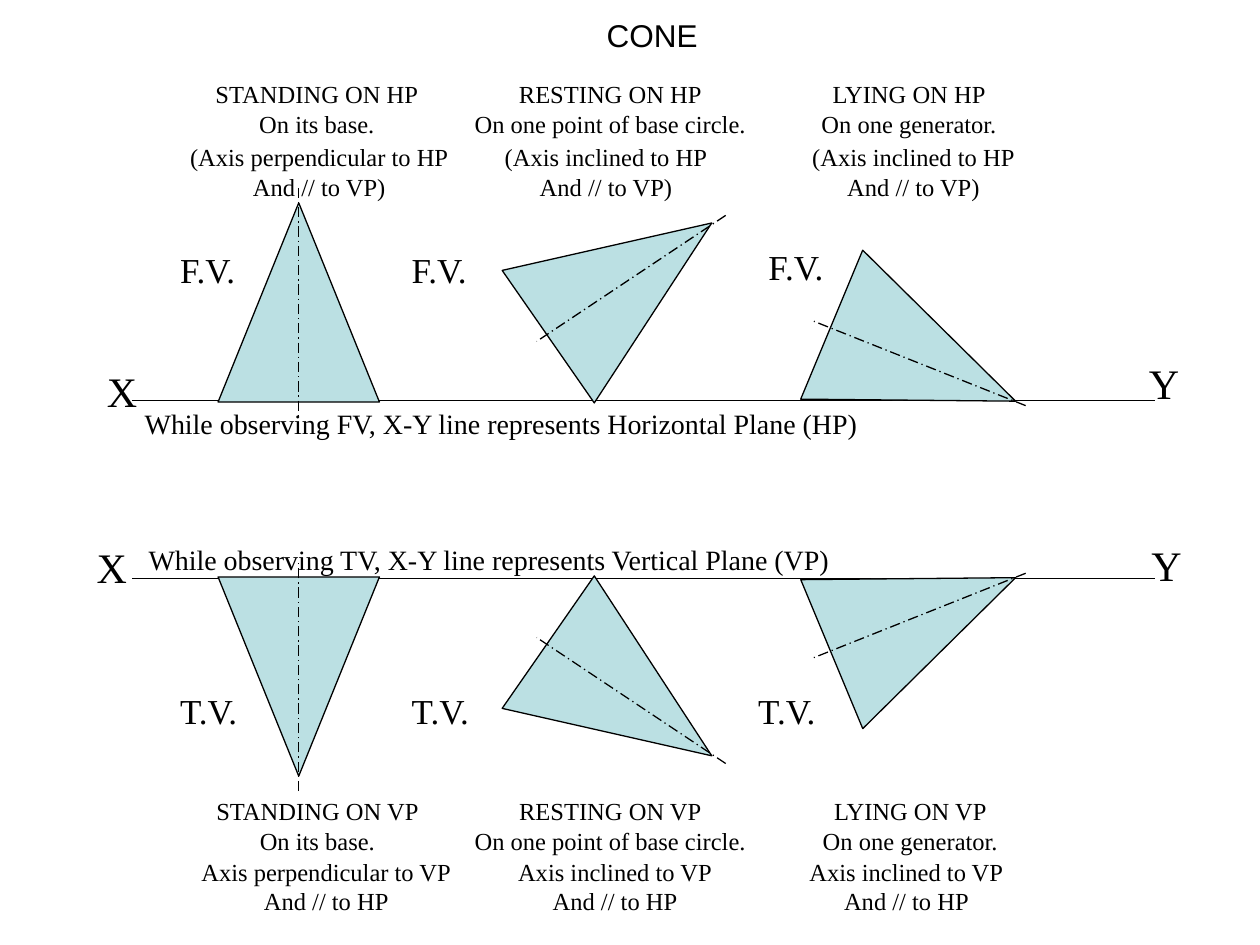
from pptx import Presentation
from pptx.dml.color import RGBColor
from pptx.enum.dml import MSO_LINE
from pptx.enum.shapes import MSO_CONNECTOR, MSO_SHAPE
from pptx.enum.text import MSO_ANCHOR, MSO_AUTO_SIZE, PP_ALIGN
from pptx.oxml.ns import qn
from pptx.util import Pt
from lxml import etree

STRAIGHT = MSO_CONNECTOR.STRAIGHT
TRIANGLE = MSO_SHAPE.ISOSCELES_TRIANGLE
CHAIN_LINE = MSO_LINE.LONG_DASH_DOT
CENTER, LEFT = PP_ALIGN.CENTER, PP_ALIGN.LEFT
COLORS = {"ink": "000000", "cone": "BBE0E3"}
SERIF = "Times New Roman"

# Content: captions as (centre x, width, lines), one row per top position
CAPTION_HEIGHT = 41
CAPTIONS = {
    41.8: [
        (181.1, 134.6, ["STANDING ON HP", "On its base."]),
        (348.8, 170.6, ["RESTING ON HP", "On one point of base circle."]),
        (519.5, 118.8, ["LYING ON HP", "On one generator."]),
    ],
    77.8: [
        (182.5, 163.4, ["(Axis perpendicular to HP", "And // to VP)"]),
        (346.3, 131, ["(Axis inclined to HP", "And // to VP)"]),
        (522, 131, ["(Axis inclined to HP", "And // to VP)"]),
    ],
    451.4: [
        (181.4, 131, ["STANDING ON VP", "On its base."]),
        (348.8, 170.6, ["RESTING ON VP", "On one point of base circle."]),
        (520.2, 118.8, ["LYING ON VP", "On one generator."]),
    ],
    486: [
        (186.5, 158.4, ["Axis perpendicular to VP", "And // to HP"]),
        (351.5, 129.6, ["Axis inclined to VP", "And // to HP"]),
        (518, 126, ["Axis inclined to VP", "And // to HP"]),
    ],
}

# Labels as (text, left, top, width, height), grouped by font size
LABELS = {
    24: [
        ("X", 54, 205.2, 31.7, 36), ("Y", 649.4, 200.9, 31.7, 36),
        ("X", 48.2, 306, 31.7, 36), ("Y", 650.9, 304.6, 31.7, 36),
    ],
    20: [
        ("F.V.", 95.8, 138.2, 50.4, 31), ("F.V.", 228.2, 138.2, 50.4, 31),
        ("F.V.", 432, 136.8, 50.4, 31),
        ("T.V.", 95.8, 390.2, 51.1, 31), ("T.V.", 228.2, 390.2, 51.1, 31),
        ("T.V.", 426.2, 390.2, 51.1, 31),
    ],
    16: [
        ("While observing FV, X-Y line represents Horizontal Plane (HP)",
         75.6, 229, 430.6, 26.6),
        ("While observing TV, X-Y line represents Vertical Plane (VP)",
         77.8, 306.7, 409.7, 26.6),
    ],
}

# Front-view cones: (left, top, rotation), then axis (x1, y1, x2, y2)
CONE_WIDTH, CONE_HEIGHT = 92.2, 113.8
CONES = [
    ((124.6, 115.9, 0), (170.6, 107.3, 170.6, 237.6)),
    ((313.9, 103, 55.2), (414.7, 123.1, 306.7, 195.1)),
    ((481.7, 150.5, 112.6), (586.1, 231.8, 465.1, 183.6)),
]
GROUND_LINE = (75.6, 229, 660.2, 229)
MIRROR_SUM = 559.4  # a front-view y and its top-view y add up to this


def color(name):
    return RGBColor.from_string(COLORS[name])


def style_text(frame, lines, size, font, alignment):
    frame.text = "\n".join(lines)
    for paragraph in frame.paragraphs:
        paragraph.alignment = alignment
        paragraph.font.size = Pt(size)
        paragraph.font.name = font
        paragraph.font.color.rgb = color("ink")


def add_text(slide, lines, left, top, width, height, size, alignment=LEFT):
    box = slide.shapes.add_textbox(Pt(left), Pt(top), Pt(width), Pt(height))
    frame = box.text_frame
    frame.word_wrap = False
    frame.auto_size = MSO_AUTO_SIZE.SHAPE_TO_FIT_TEXT
    style_text(frame, lines, size, SERIF, alignment)


def add_line(shapes, points, mirrored, dash=None):
    x1, y1, x2, y2 = points
    if mirrored:
        y1, y2 = MIRROR_SUM - y1, MIRROR_SUM - y2
    line = shapes.add_connector(STRAIGHT, Pt(x1), Pt(y1), Pt(x2), Pt(y2))
    line.line.color.rgb = color("ink")
    line.line.width = Pt(0.75)
    if dash is not None:
        line.line.dash_style = dash
    etree.SubElement(line.element.spPr, qn("a:effectLst"))


def add_cone(shapes, left, top, rotation, mirrored):
    if mirrored:
        top = MIRROR_SUM - top - CONE_HEIGHT
        rotation = -rotation % 360
    cone = shapes.add_shape(
        TRIANGLE, Pt(left), Pt(top), Pt(CONE_WIDTH), Pt(CONE_HEIGHT))
    cone.rotation = rotation
    if mirrored:
        cone.element.spPr.find(qn("a:xfrm")).set("flipV", "1")
    cone.shadow.inherit = False
    cone.fill.solid()
    cone.fill.fore_color.rgb = color("cone")
    cone.line.color.rgb = color("ink")
    cone.line.width = Pt(0.75)


def main():
    presentation = Presentation()
    presentation.slide_width, presentation.slide_height = Pt(720), Pt(540)
    slide = presentation.slides.add_slide(presentation.slide_layouts[5])

    # Title
    title = slide.shapes.title
    title.left, title.top = Pt(279.4), Pt(5.8)
    title.width, title.height = Pt(186.5), Pt(28.8)
    title.text_frame.vertical_anchor = MSO_ANCHOR.TOP
    style_text(title.text_frame, ["CONE"], 18, "Arial", CENTER)

    # Front views, then their mirrored top views
    for mirrored in (False, True):
        add_line(slide.shapes, GROUND_LINE, mirrored)
        for placement, axis in CONES:
            if mirrored:
                shapes = slide.shapes
            else:
                shapes = slide.shapes.add_group_shape().shapes
            add_cone(shapes, *placement, mirrored)
            add_line(shapes, axis, mirrored, CHAIN_LINE)

    # Captions above and below the views
    for top, row in CAPTIONS.items():
        for center, width, lines in row:
            add_text(slide, lines, center - width / 2, top, width,
                     CAPTION_HEIGHT, 14, CENTER)

    # View, axis and plane labels
    for size, labels in LABELS.items():
        for text, *box in labels:
            add_text(slide, [text], *box, size)

    presentation.save("out.pptx")


if __name__ == "__main__":
    main()
